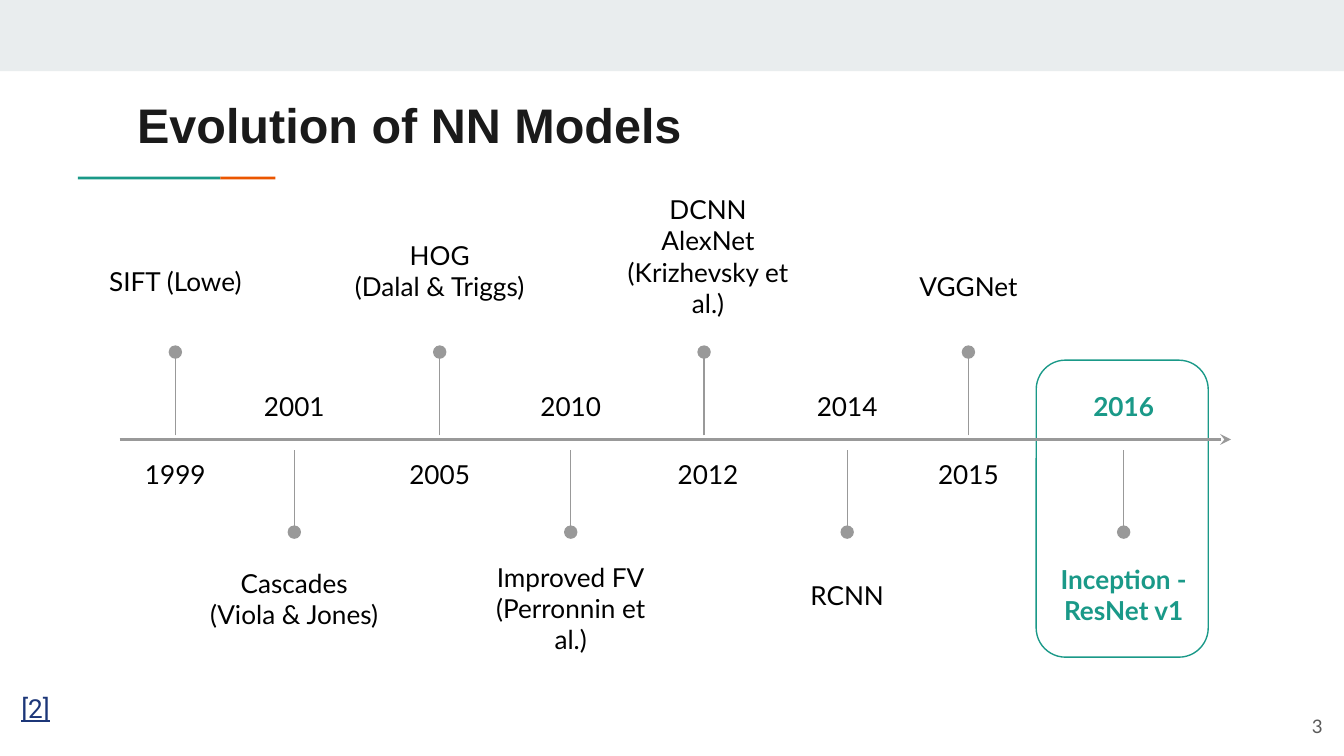
"""Build a timeline slide on the evolution of neural network models."""
from dataclasses import dataclass

from lxml import etree
from pptx import Presentation
from pptx import util as u
from pptx.dml.color import RGBColor
from pptx.enum import shapes, text
from pptx.oxml import ns

WIDE, HIGH = u.Inches(10), u.Inches(5.625)
CELL = WIDE / 100

PALE = RGBColor(0xE9, 0xED, 0xEE)
TEAL = RGBColor(0x1A, 0x99, 0x88)
RUST = RGBColor(0xEB, 0x56, 0x00)
GREY = RGBColor(0x99, 0x99, 0x99)
DARK = RGBColor(0x1A, 0x1A, 0x1A)
DIM = RGBColor(0x59, 0x59, 0x59)
NAVY = RGBColor(0x1C, 0x36, 0x78)
BLACK = RGBColor(0, 0, 0)

KIND, ALIGN, ANCHOR = shapes.MSO_SHAPE, text.PP_ALIGN, text.MSO_ANCHOR


@dataclass(frozen=True)
class Box:
    """A place on the grid, in columns and rows."""
    col: float
    row: float
    cols: float
    rows: float

    def place(self) -> list[int]:
        return [span(n) for n in (self.col, self.row, self.cols, self.rows)]


@dataclass(frozen=True)
class Font:
    """The look of a run of text."""
    name: str = "Lato"
    size: float = 14
    color: RGBColor = BLACK
    bold: bool = False
    under: bool = False


@dataclass(frozen=True)
class Event:
    """A year and its model, with the rows of the model's label."""
    year: str
    label: str
    row: float
    rows: float
    shift: float = 0
    font: Font = Font()


@dataclass(frozen=True)
class Side:
    """One side of the axis: its stems, years and events."""
    start: float
    step: float
    root: float
    tip: float
    year: float
    events: tuple[Event, ...]


KEY = Font(color=TEAL, bold=True)
SIDES = (
    Side(13.05, 19.67, 32.4, 26.2, 33.5, (
        Event("1999", "SIFT (Lowe)", 17.3, 7.3),
        Event("2005", "HOG\n(Dalal & Triggs)", 16.5, 7.3),
        Event("2012", "DCNN AlexNet\n(Krizhevsky et al.)", 14.2, 9.7, 0.3),
        Event("2015", "VGGNet", 17.9, 6.7))),
    Side(21.9, 20.57, 33.5, 39.6, 28.4, (
        Event("2001", "Cascades\n(Viola & Jones)", 40.9, 7.3),
        Event("2010", "Improved FV\n(Perronnin et al.)", 41.6, 7.3),
        Event("2014", "RCNN", 40.9, 6.7),
        Event("2016", "Inception - ResNet v1", 40.9, 6.7, font=KEY))),
)


def span(count: float) -> int:
    """Turn a count of grid cells into a length."""
    return round(count * CELL)


def shape(slide, box: Box, kind=KIND.RECTANGLE, fill=None, line=None):
    """Draw a preset shape with a plain fill or outline."""
    item = slide.shapes.add_shape(kind, *box.place())
    item.shadow.inherit = False
    if fill is None:
        item.fill.background()
    else:
        item.fill.solid()
        item.fill.fore_color.rgb = fill
    if line is None:
        item.line.fill.background()
    else:
        item.line.color.rgb = line
        item.line.width = u.Pt(0.75)
    return item


def write(frame, words: str, font: Font, align, anchor) -> None:
    """Fill a text frame and format its runs."""
    frame.text = words
    frame.word_wrap = True
    frame.auto_size = text.MSO_AUTO_SIZE.NONE
    frame.vertical_anchor = anchor
    frame.margin_left = frame.margin_right = span(1)
    frame.margin_top = frame.margin_bottom = span(1)
    for para in frame.paragraphs:
        para.alignment = align
        for run in para.runs:
            run.font.name = font.name
            run.font.size = u.Pt(font.size)
            run.font.bold = font.bold
            run.font.underline = font.under
            run.font.color.rgb = font.color


def note(slide, box: Box, words: str, font: Font = Font(),
         align=ALIGN.CENTER, anchor=ANCHOR.MIDDLE) -> None:
    """Add a text box."""
    item = slide.shapes.add_textbox(*box.place())
    write(item.text_frame, words, font, align, anchor)


def rule(slide, x: float, y: float, x2: float, y2: float,
         width: float = 0.75, head: bool = False) -> None:
    """Draw a grey line, with an arrowhead at its end if asked."""
    ends = [span(n) for n in (x, y, x2, y2)]
    item = slide.shapes.add_connector(shapes.MSO_CONNECTOR.STRAIGHT, *ends)
    item.line.color.rgb = GREY
    item.line.width = u.Pt(width)
    if head:
        ln = item.line._get_or_add_ln()
        etree.SubElement(ln, ns.qn("a:tailEnd"), type="stealth")
    etree.SubElement(item._element.spPr, ns.qn("a:effectLst"))


def plot(slide, side: Side) -> None:
    """Draw the stems, dots, years and labels of one side."""
    for i, event in enumerate(side.events):
        stem = side.start + i * side.step
        mid = stem + event.shift
        rule(slide, stem, side.root, stem, side.tip)
        shape(slide, Box(stem - 0.5, side.tip - 0.5, 1, 1), KIND.OVAL, GREY)
        note(slide, Box(mid - 4.2, side.year, 8.4, 3.6), event.year, event.font)
        note(slide, Box(mid - 7.35, event.row, 14.7, event.rows),
             event.label, event.font)


def main() -> None:
    """Build and save the slide."""
    deck = Presentation()
    deck.slide_width, deck.slide_height = WIDE, HIGH
    slide = deck.slides.add_slide(deck.slide_layouts[5])

    title = slide.shapes.title
    title.left, title.top, title.width, title.height = Box(
        9.2, 6.1, 84.1, 5.9).place()
    write(title.text_frame, "Evolution of NN Models",
          Font("Arial", 26, DARK, True), ALIGN.LEFT, ANCHOR.TOP)

    shape(slide, Box(0, 0, 100, 5.3), fill=PALE)
    shape(slide, Box(5.8, 13.15, 10.6, 0.2), fill=TEAL)
    shape(slide, Box(16.4, 13.15, 4.1, 0.2), fill=RUST)
    frame = shape(slide, Box(77.1, 26.8, 12.8, 22.1),
                  KIND.ROUNDED_RECTANGLE, line=TEAL)
    frame.adjustments[0] = 0.17

    rule(slide, 8.9, 32.7, 91.6, 32.7, 1.5, True)
    for side in SIDES:
        plot(slide, side)

    note(slide, Box(0.6, 50.5, 5.1, 5.2), "[2]",
         Font("Roboto", color=NAVY, under=True), ALIGN.LEFT, ANCHOR.TOP)
    note(slide, Box(93.4, 51.9, 6, 4.3), "3",
         Font(size=10, color=DIM), ALIGN.RIGHT)
    deck.save("out.pptx")


if __name__ == "__main__":
    main()
